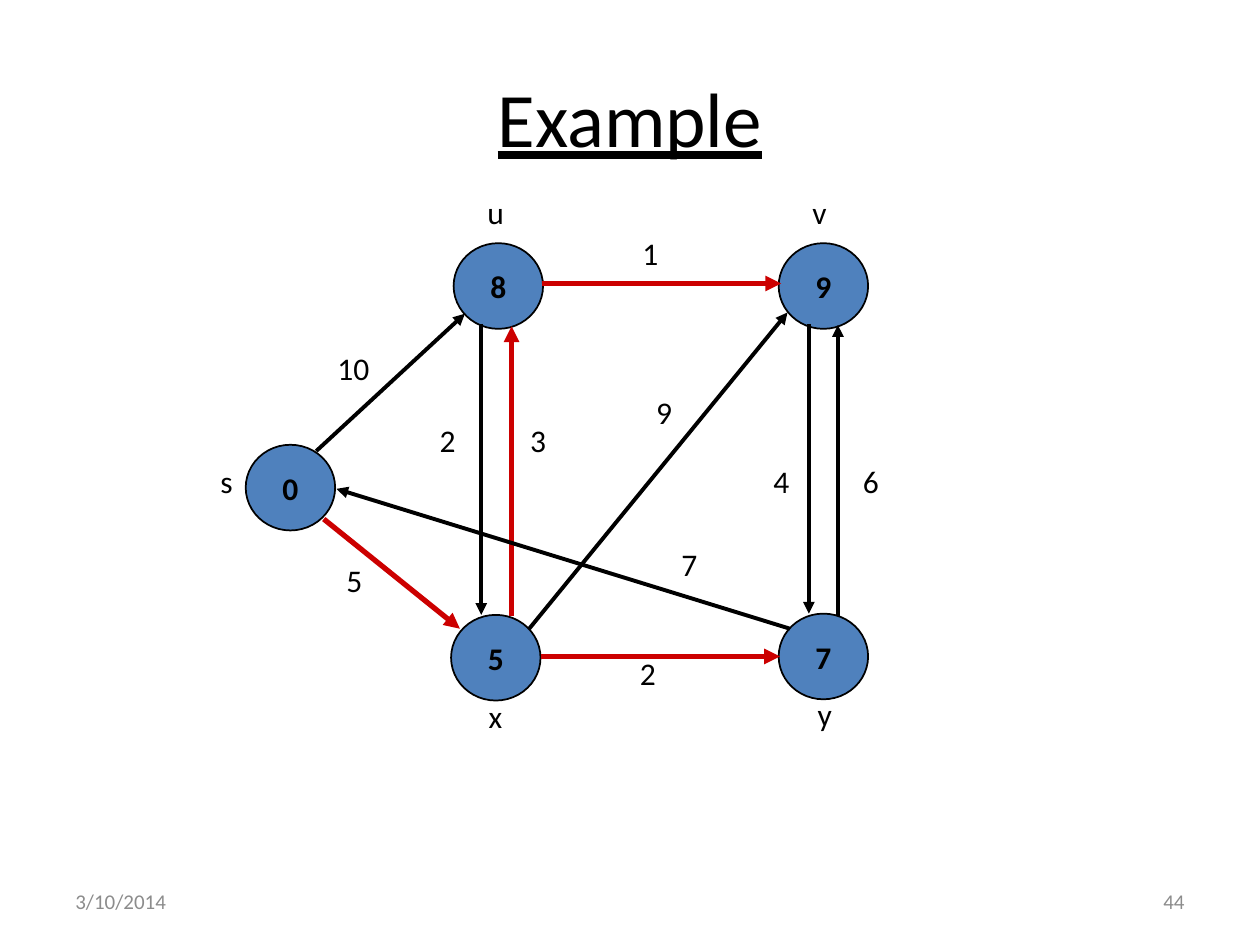
"""Build a slide with a weighted graph and its shortest-path edges."""
import pptx
import pptx.dml.color
import pptx.enum.shapes
import pptx.enum.text
import pptx.oxml.ns
import pptx.util
from lxml import etree

Inches = pptx.util.Inches
Pt = pptx.util.Pt
Color = pptx.dml.color.RGBColor
Align = pptx.enum.text.PP_ALIGN
Anchor = pptx.enum.text.MSO_ANCHOR
Fit = pptx.enum.text.MSO_AUTO_SIZE
qn = pptx.oxml.ns.qn

BLACK = Color(0, 0, 0)
BLUE = Color(0x4F, 0x81, 0xBD)
RED = Color(0xCC, 0, 0)
GREY = Color(0x8C, 0x8C, 0x8C)
FONT = "Calibri"

NODES = [
    ("0", 1.95, 3.53), ("7", 6.18, 4.87), ("5", 3.58, 4.88),
    ("9", 6.18, 1.93), ("8", 3.6, 1.93),
]
EDGES = [
    (2.51, 3.58, 3.69, 2.49, False), (2.57, 4.12, 3.65, 4.99, True),
    (3.82, 2.57, 3.82, 4.88, False), (4.06, 4.89, 4.06, 2.59, True),
    (6.42, 2.57, 6.42, 4.87, False), (6.65, 4.89, 6.65, 2.58, False),
    (4.29, 5.21, 6.19, 5.21, True), (4.3, 2.25, 6.2, 2.25, True),
    (4.2, 4.99, 6.25, 2.48, False), (6.27, 4.99, 2.67, 3.88, False),
]
NAMES = [
    ("s", 1.65, 3.62), ("u", 3.77, 1.48), ("v", 6.35, 1.48),
    ("x", 3.78, 5.48), ("y", 6.39, 5.47),
]
COSTS = [
    ("10", 2.58, 2.72), ("1", 5, 1.81), ("9", 5.11, 3.07),
    ("2", 4.98, 5.14), ("4", 6.04, 3.62), ("6", 6.75, 3.62),
    ("5", 2.65, 4.4), ("2", 3.39, 3.29), ("3", 4.11, 3.29),
    ("7", 5.31, 4.28),
]


def write(frame, text, size, color=BLACK, align=Align.LEFT):
    """Put one styled paragraph in a text frame and return it."""
    frame.text = text
    para = frame.paragraphs[0]
    para.alignment = align
    para.font.name = FONT
    para.font.size = Pt(size)
    para.font.color.rgb = color
    return para


def add_title(slide, text):
    """Place and fill the underlined title."""
    title = slide.shapes.title
    title.left, title.top = Inches(0.5), Inches(0.3)
    title.width, title.height = Inches(9), Inches(1.25)
    title.text_frame.vertical_anchor = Anchor.MIDDLE
    write(title.text_frame, text, 44, align=Align.CENTER).font.underline = True


def add_node(slide, text, left, top):
    """Draw a graph node with its distance."""
    node = slide.shapes.add_shape(
        pptx.enum.shapes.MSO_SHAPE.OVAL,
        Inches(left), Inches(top), Inches(0.71), Inches(0.68))
    node.shadow.inherit = False
    node.fill.solid()
    node.fill.fore_color.rgb = BLUE
    node.line.color.rgb = BLACK
    node.line.width = Pt(1)
    frame = node.text_frame
    frame.word_wrap = False
    frame.vertical_anchor = Anchor.MIDDLE
    write(frame, text, 18, align=Align.CENTER).font.bold = True


def add_edge(slide, x1, y1, x2, y2, chosen):
    """Draw an arrow, red and thicker when it is chosen."""
    edge = slide.shapes.add_connector(
        pptx.enum.shapes.MSO_CONNECTOR.STRAIGHT,
        Inches(x1), Inches(y1), Inches(x2), Inches(y2))
    edge.line.color.rgb = RED if chosen else BLACK
    edge.line.width = Pt(3 if chosen else 2.25)
    props = edge.line._get_or_add_ln()
    etree.SubElement(props, qn("a:tailEnd"), type="triangle")
    etree.SubElement(props.getparent(), qn("a:effectLst"))


def add_label(slide, text, left, top):
    """Add a node name or an edge cost."""
    width = 0.53 if len(text) > 1 else 0.33 if text == "s" else 0.37
    box = slide.shapes.add_textbox(
        Inches(left), Inches(top), Inches(width), Inches(0.5))
    box.text_frame.word_wrap = False
    box.text_frame.auto_size = Fit.SHAPE_TO_FIT_TEXT
    write(box.text_frame, text, 18)


def add_footer(slide, text, left, align):
    """Add a small grey text at the foot of the slide."""
    box = slide.shapes.add_textbox(
        Inches(left), Inches(6.95), Inches(2.33), Inches(0.4))
    box.text_frame.word_wrap = True
    box.text_frame.vertical_anchor = Anchor.MIDDLE
    write(box.text_frame, text, 12, GREY, align)


def main():
    """Build and save the slide."""
    deck = pptx.Presentation()
    deck.slide_width, deck.slide_height = Inches(10), Inches(7.5)
    slide = deck.slides.add_slide(deck.slide_layouts[5])
    add_title(slide, "Example")
    for node in NODES:
        add_node(slide, *node)
    for edge in EDGES:
        add_edge(slide, *edge)
    for label in NAMES + COSTS:
        add_label(slide, *label)
    add_footer(slide, "3/10/2014", 0.5, Align.LEFT)
    add_footer(slide, "44", 7.17, Align.RIGHT)
    deck.save("out.pptx")


if __name__ == "__main__":
    main()
